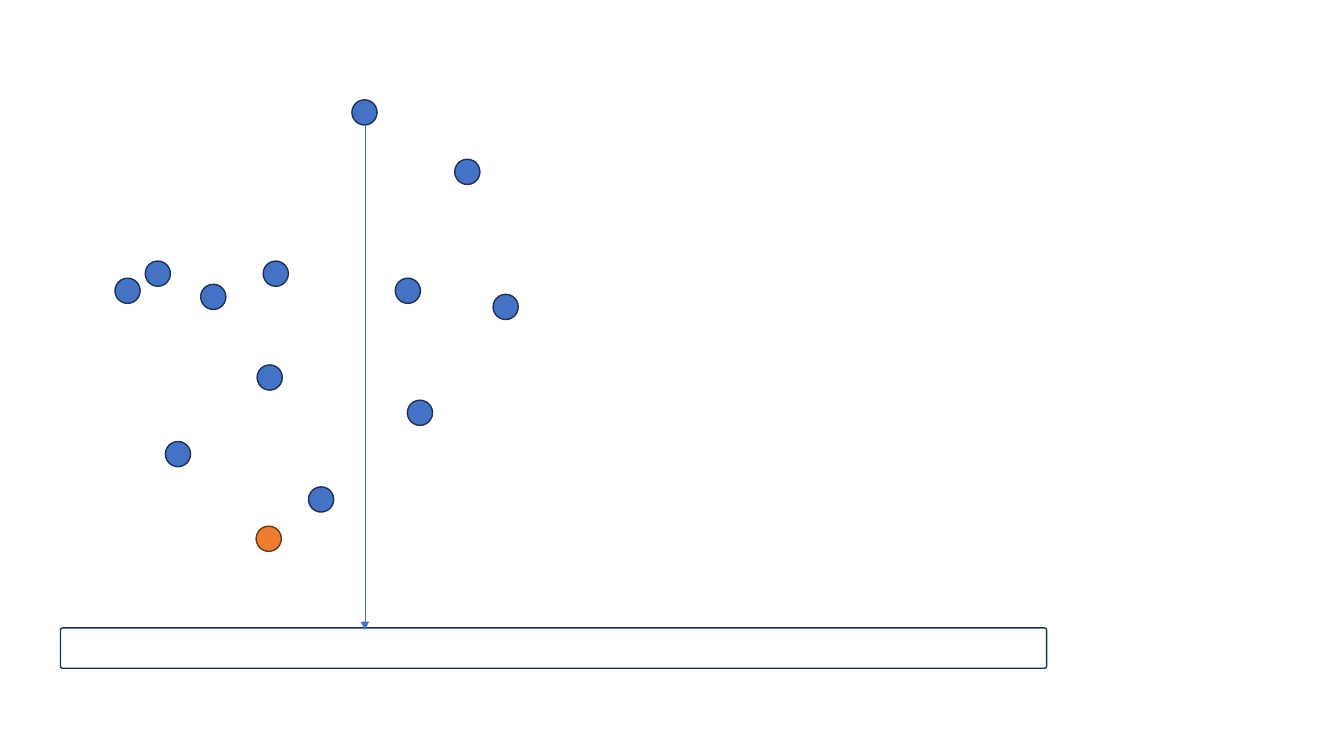
import dataclasses

import lxml.etree
import pptx
import pptx.dml.color
import pptx.enum.shapes
import pptx.oxml.ns
import pptx.util

EMU_PER_PX = 9144  # 100 px to the inch
SLIDE_SIZE = 1333, 750
DOT_SIZE = 25


@dataclasses.dataclass(frozen=True)
class Theme:
    background: str = "FFFFFF"
    blue: str = "4472C4"
    blue_edge: str = "1E3256"
    orange: str = "ED7D31"
    orange_edge: str = "683715"
    edge_width: float = 1
    arrow_width: float = 0.5


def px(n):
    return pptx.util.Emu(n * EMU_PER_PX)


def rgb(value):
    return pptx.dml.color.RGBColor.from_string(value)


class Diagram:
    def __init__(self, slide, theme):
        self.slide = slide
        self.theme = theme

    def shape(self, kind, x, y, w, h, fill, edge):
        sp = self.slide.shapes.add_shape(kind, px(x), px(y), px(w), px(h))
        sp.shadow.inherit = False
        sp.fill.solid()
        sp.fill.fore_color.rgb = rgb(fill)
        sp.line.color.rgb = rgb(edge)
        sp.line.width = pptx.util.Pt(self.theme.edge_width)
        return sp

    def dot(self, x, y, fill, edge):
        kind = pptx.enum.shapes.MSO_SHAPE.OVAL
        return self.shape(kind, x, y, DOT_SIZE, DOT_SIZE, fill, edge)

    def bar(self, x, y, w, h):
        kind = pptx.enum.shapes.MSO_SHAPE.ROUNDED_RECTANGLE
        sp = self.shape(kind, x, y, w, h, self.theme.background, self.theme.blue_edge)
        sp.adjustments[0] = 0.05
        return sp

    def arrow(self, x1, y1, x2, y2):
        kind = pptx.enum.shapes.MSO_CONNECTOR.STRAIGHT
        line = self.slide.shapes.add_connector(kind, px(x1), px(y1), px(x2), px(y2))
        line.line.color.rgb = rgb(self.theme.blue)
        line.line.width = pptx.util.Pt(self.theme.arrow_width)
        qn = pptx.oxml.ns.qn
        ln = line.line._get_or_add_ln()
        lxml.etree.SubElement(ln, qn("a:tailEnd"), type="triangle")
        lxml.etree.SubElement(line._element.spPr, qn("a:effectLst"))
        return line


def main():
    prs = pptx.Presentation()
    prs.slide_width, prs.slide_height = map(px, SLIDE_SIZE)
    theme = Theme()
    diagram = Diagram(prs.slides.add_slide(prs.slide_layouts[6]), theme)

    blue_dots = [
        (144, 259), (114, 276), (255, 362), (392, 276), (261, 259), (164, 438),
        (404, 397), (451, 158), (349, 99), (199, 282), (306, 483), (489, 292),
    ]
    for x, y in blue_dots:
        diagram.dot(x, y, theme.blue, theme.blue_edge)
    diagram.dot(254, 522, theme.orange, theme.orange_edge)

    diagram.bar(60, 623, 978, 40)
    diagram.arrow(362, 124, 362, 625)

    prs.save("out.pptx")


if __name__ == "__main__":
    main()
